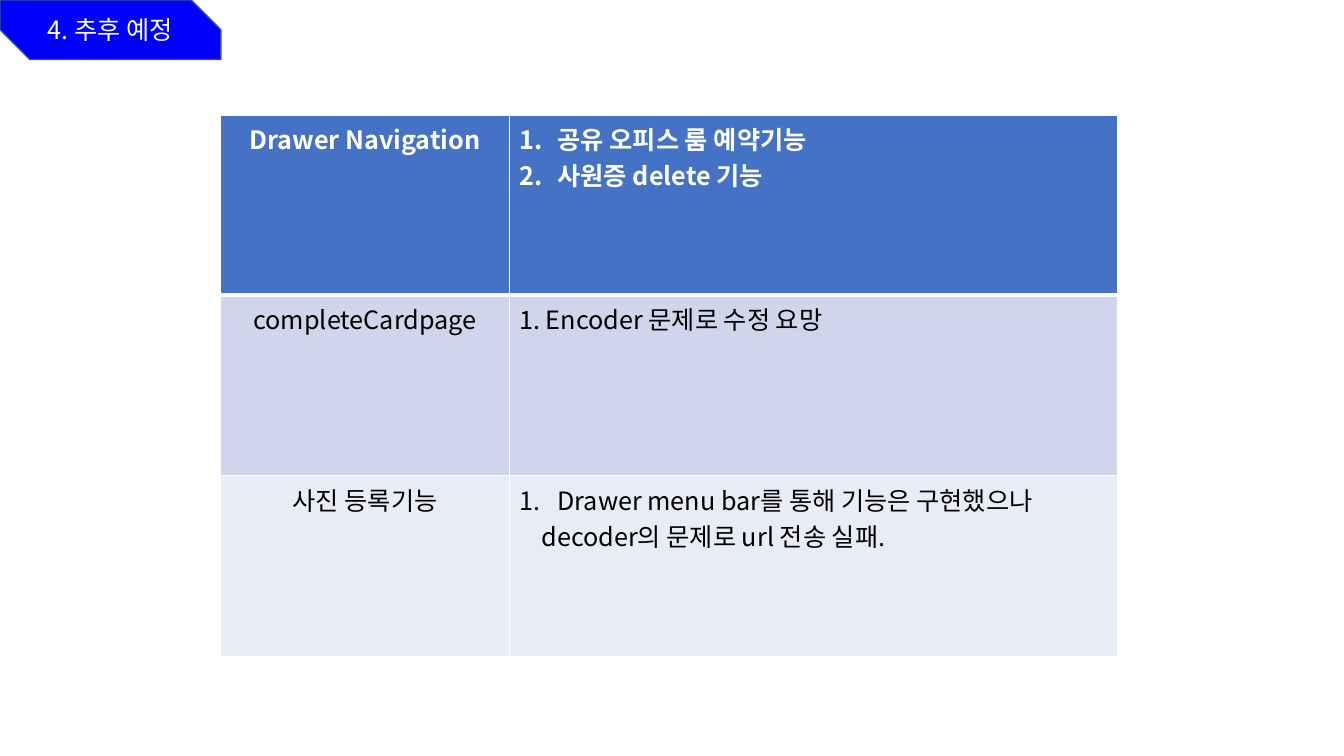
"""Build the upcoming-work slide: a section tag and a table of pending features."""
from dataclasses import dataclass

from lxml import etree
from pptx import Presentation
from pptx.dml.color import RGBColor
from pptx.enum.shapes import MSO_SHAPE
from pptx.enum.text import MSO_ANCHOR, PP_ALIGN
from pptx.oxml.ns import qn
from pptx.util import Inches, Pt

CENTER, LEFT = PP_ALIGN.CENTER, PP_ALIGN.LEFT
MIDDLE = MSO_ANCHOR.MIDDLE
TAG_SHAPE = MSO_SHAPE.SNIP_2_DIAG_RECTANGLE


@dataclass(frozen=True)
class Theme:
    font: str = "Noto Sans CJK KR"
    size: int = 18
    white: str = "FFFFFF"
    black: str = "000000"
    tag: str = "0000FF"
    tag_line: str = "325491"
    rows: tuple = ("4472C4", "CFD5EA", "E9EBF5")


theme = Theme()


def write(para, text, *, color, bold=False, align=LEFT, numbered=False, indent=0):
    """Fill one paragraph with formatted text and optional numbering."""
    para.alignment = align
    span = para.add_run()
    span.text = text
    span.font.size = Pt(theme.size)
    span.font.bold = bold
    span.font.color.rgb = RGBColor.from_string(color)
    span.font.name = theme.font
    etree.SubElement(span.font._element, qn("a:ea"), typeface=theme.font)
    props = para._p.get_or_add_pPr()
    if indent:
        props.set("marL", str(Inches(indent)))
    if numbered:
        props.set("indent", str(-Inches(indent)))
        etree.SubElement(props, qn("a:buFont"), typeface="+mj-lt")
        etree.SubElement(props, qn("a:buAutoNum"), type="arabicPeriod")


def add_border(cell, side, width):
    """Draw a white border on one side of a cell."""
    line = etree.SubElement(cell._tc.get_or_add_tcPr(), qn(f"a:ln{side}"), w=str(Pt(width)))
    fill = etree.SubElement(line, qn("a:solidFill"))
    etree.SubElement(fill, qn("a:srgbClr"), val=theme.white)


deck = Presentation()
deck.slide_width, deck.slide_height = Inches(13.33), Inches(7.5)
page = deck.slides.add_slide(deck.slide_layouts[6])

tag = page.shapes.add_shape(TAG_SHAPE, 0, 0, Inches(2.19), Inches(0.59))
tag.shadow.inherit = False
tag.adjustments[0], tag.adjustments[1] = 0, 0.5
tag.fill.solid()
tag.fill.fore_color.rgb = RGBColor.from_string(theme.tag)
tag.line.color.rgb = RGBColor.from_string(theme.tag_line)
tag.line.width = Pt(1)
tag.text_frame.vertical_anchor = MIDDLE
write(tag.text_frame.paragraphs[0], "4. 추후 예정", color=theme.white, align=CENTER)

numbered = {"numbered": True, "indent": 0.38}
features = [
    ("Drawer Navigation", [("공유 오피스 룸 예약기능", numbered), ("사원증 delete 기능", numbered)]),
    ("completeCardpage", [("1. Encoder 문제로 수정 요망", {})]),
    ("사진 등록기능", [
        ("Drawer menu bar를 통해 기능은 구현했으나", numbered),
        ("decoder의 문제로 url 전송 실패.", {"indent": 0.22}),
    ]),
]
column_widths = (2.86, 6.03)
row_height = 1.79

table = page.shapes.add_table(
    len(features), len(column_widths), Inches(2.19), Inches(1.14),
    Inches(sum(column_widths)), Inches(row_height * len(features)),
).table
for column, width in zip(table.columns, column_widths):
    column.width = Inches(width)

for index, (name, notes) in enumerate(features):
    table.rows[index].height = Inches(row_height)
    is_header = index == 0
    style = {"color": theme.white if is_header else theme.black, "bold": is_header}
    contents = ([(name, {"align": CENTER})], notes)
    for cell, lines in zip(table.rows[index].cells, contents):
        for side in "LRTB":
            header_edge = (index, side) in ((0, "B"), (1, "T"))
            add_border(cell, side, 3 if header_edge else 1)
        cell.fill.solid()
        cell.fill.fore_color.rgb = RGBColor.from_string(theme.rows[index])
        frame = cell.text_frame
        for number, (text, layout) in enumerate(lines):
            para = frame.add_paragraph() if number else frame.paragraphs[0]
            write(para, text, **style, **layout)

deck.save("out.pptx")
